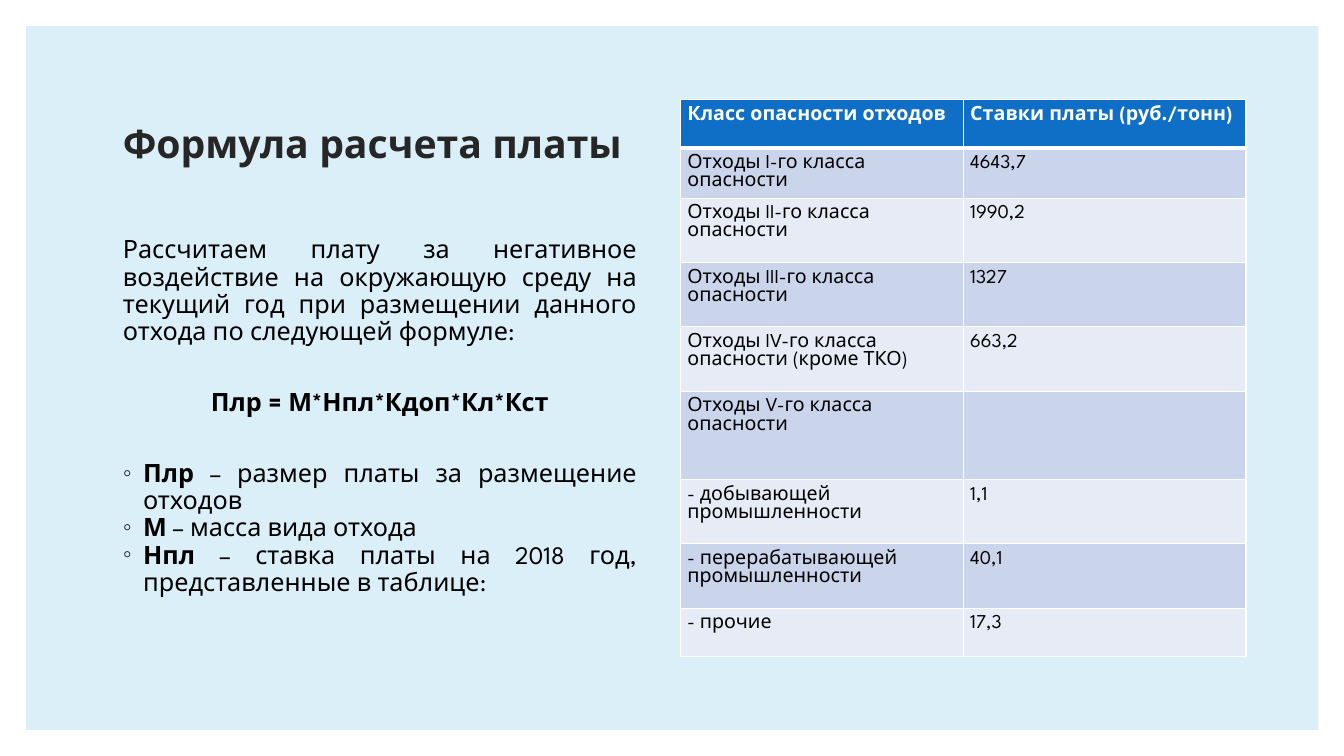
from lxml import etree
from pptx import Presentation
from pptx.dml import color
from pptx import util as u
from pptx.enum import shapes, text
from pptx.oxml import ns

HUES = {"white": "FFFFFF", "pale": "DBEFF9", "dark": "262626", "black": "000000",
        "head": "0F6FC6", "odd": "CAD4EA", "even": "E6EBF5"}
FACE = "League Spartan"
ALIGN = text.PP_ALIGN
RATES = [
    ("Класс опасности отходов", "Ставки платы (руб./тонн)"),
    ("Отходы I-го класса опасности", "4643,7"),
    ("Отходы II-го класса опасности", "1990,2"),
    ("Отходы III-го класса опасности", "1327"),
    ("Отходы IV-го класса опасности (кроме ТКО)", "663,2"),
    ("Отходы V-го класса опасности", ""),
    ("- добывающей промышленности", "1,1"),
    ("- перерабатывающей промышленности", "40,1"),
    ("- прочие", "17,3"),
]
HIGHS = [34.6, 34.6, 46, 46, 46, 63, 46, 46, 34.6]
TERMS = [("Плр", " – размер платы за размещение отходов"),
         ("М", " – масса вида отхода"),
         ("Нпл", " – ставка платы на 2018 год, представленные в таблице:")]
INTRO = ("Рассчитаем плату за негативное воздействие на окружающую среду "
         "на текущий год при размещении данного отхода по следующей формуле:")


def hue(name):
    return color.RGBColor.from_string(HUES[name])


def put(obj, **vals):
    for key, val in vals.items():
        setattr(obj, key, val)


def sub(node, tag, **vals):
    return etree.SubElement(node, ns.qn(tag), **vals)


class Page:
    """Holds the style and the current slide."""

    def __init__(self, deck):
        self.slide = deck.slides.add_slide(deck.slide_layouts[1])

    def panel(self, *box):
        rect = self.slide.shapes.add_shape(
            shapes.MSO_SHAPE.RECTANGLE, *map(u.Pt, box))
        rect.shadow.inherit = False
        rect.fill.solid()
        rect.fill.fore_color.rgb = hue("pale")
        rect.line.fill.background()
        node = rect.element
        node.getparent().insert(2, node)

    def frame(self, idx, box, anchor):
        hold = self.slide.placeholders[idx]
        put(hold, **dict(zip(("left", "top", "width", "height"), map(u.Pt, box))))
        pad = u.Pt(3.6)
        put(hold.text_frame, word_wrap=True, vertical_anchor=anchor,
            auto_size=text.MSO_AUTO_SIZE.NONE, margin_left=pad,
            margin_right=pad, margin_top=pad, margin_bottom=pad)
        return hold.text_frame

    def run(self, par, words, size, tint="black", bold=False):
        run = par.add_run()
        run.text = words
        put(run.font, name=FACE, size=u.Pt(size), bold=bold)
        run.font.color.rgb = hue(tint)

    def para(self, par, runs, align, before=0, mark=False):
        put(par, alignment=align, line_spacing=u.Pt(19.4),
            space_before=u.Pt(before), space_after=u.Pt(0))
        props = par._p.get_or_add_pPr()
        dent = u.Pt(14.4) if mark else 0
        props.set("marL", str(dent))
        props.set("indent", str(-dent))
        if mark:
            sub(sub(props, "a:buClr"), "a:srgbClr", val=HUES["dark"])
            sub(props, "a:buChar", char="◦")
        else:
            sub(props, "a:buNone")
        for words, bold in runs:
            self.run(par, words, 18, bold=bold)

    def title(self, words, *box):
        par = self.frame(0, box, text.MSO_ANCHOR.MIDDLE).paragraphs[0]
        put(par, alignment=ALIGN.LEFT, line_spacing=0.9)
        self.run(par, words, 28, "dark", True)

    def body(self, items, *box):
        area = self.frame(1, box, text.MSO_ANCHOR.TOP)
        for num, item in enumerate(items):
            par = area.add_paragraph() if num else area.paragraphs[0]
            self.para(par, **item)

    def edges(self, cell, row):
        props = cell._tc.get_or_add_tcPr()
        wide = {"T": 3 if row == 1 else 1, "B": 1 if row else 3}
        for spot, side in enumerate("LRTB"):
            line = etree.Element(ns.qn("a:ln" + side), w=str(u.Pt(wide.get(side, 1))))
            sub(sub(line, "a:solidFill"), "a:srgbClr", val=HUES["white"])
            props.insert(spot, line)

    def table(self, rows, highs, *box):
        grid = self.slide.shapes.add_table(
            len(rows), len(rows[0]), *map(u.Pt, (*box, sum(highs)))).table
        pad = u.Pt(5)
        for r, (pair, high) in enumerate(zip(rows, highs)):
            grid.rows[r].height = u.Pt(high)
            fill = "head" if r == 0 else "odd" if r % 2 else "even"
            for c, words in enumerate(pair):
                cell = grid.cell(r, c)
                put(cell, margin_left=pad, margin_right=pad,
                    margin_top=pad, margin_bottom=pad)
                cell.fill.solid()
                cell.fill.fore_color.rgb = hue(fill)
                self.edges(cell, r)
                if words:
                    self.run(cell.text_frame.paragraphs[0], words, 14,
                             "black" if r else "white", r == 0)


def main():
    deck = Presentation()
    put(deck, slide_width=u.Pt(960), slide_height=u.Pt(540))
    page = Page(deck)
    page.panel(18.7, 18.7, 923, 502.6)
    page.title("Формула расчета платы", 84.2, 50.4, 792, 108)
    items = [dict(runs=[(INTRO, False)], align=ALIGN.JUSTIFY),
             dict(runs=[("Плр = М*Нпл*Кдоп*Кл*Кст", True)],
                  align=ALIGN.CENTER, before=31.4)]
    items += [dict(runs=[(name, True), (note, False)], align=ALIGN.JUSTIFY,
                   before=0 if num else 31.4, mark=True)
              for num, (name, note) in enumerate(TERMS)]
    page.body(items, 84.2, 165.6, 374.4, 295.2)
    page.table(RATES, HIGHS, 486, 71, 404)
    deck.save("out.pptx")


if __name__ == "__main__":
    main()
